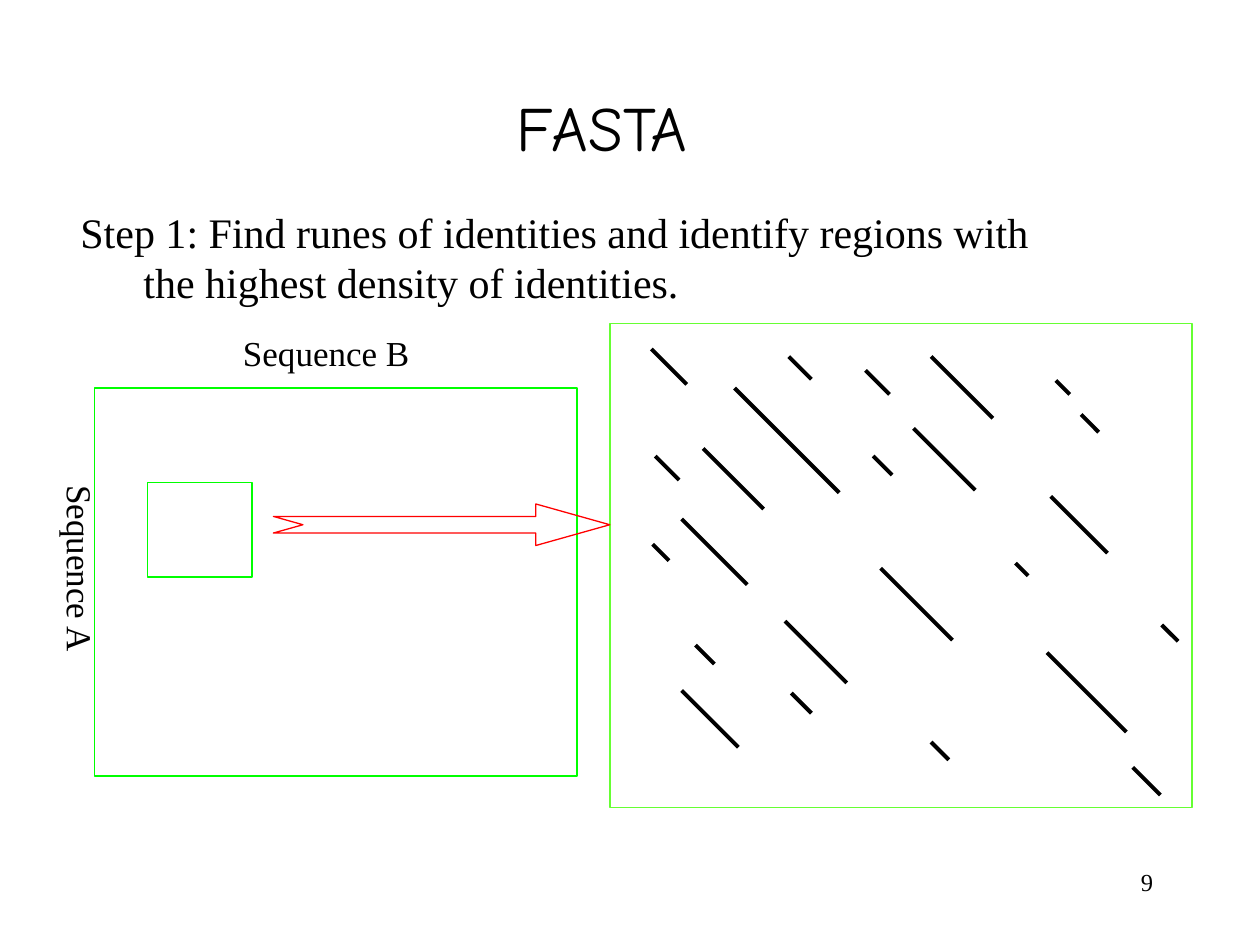
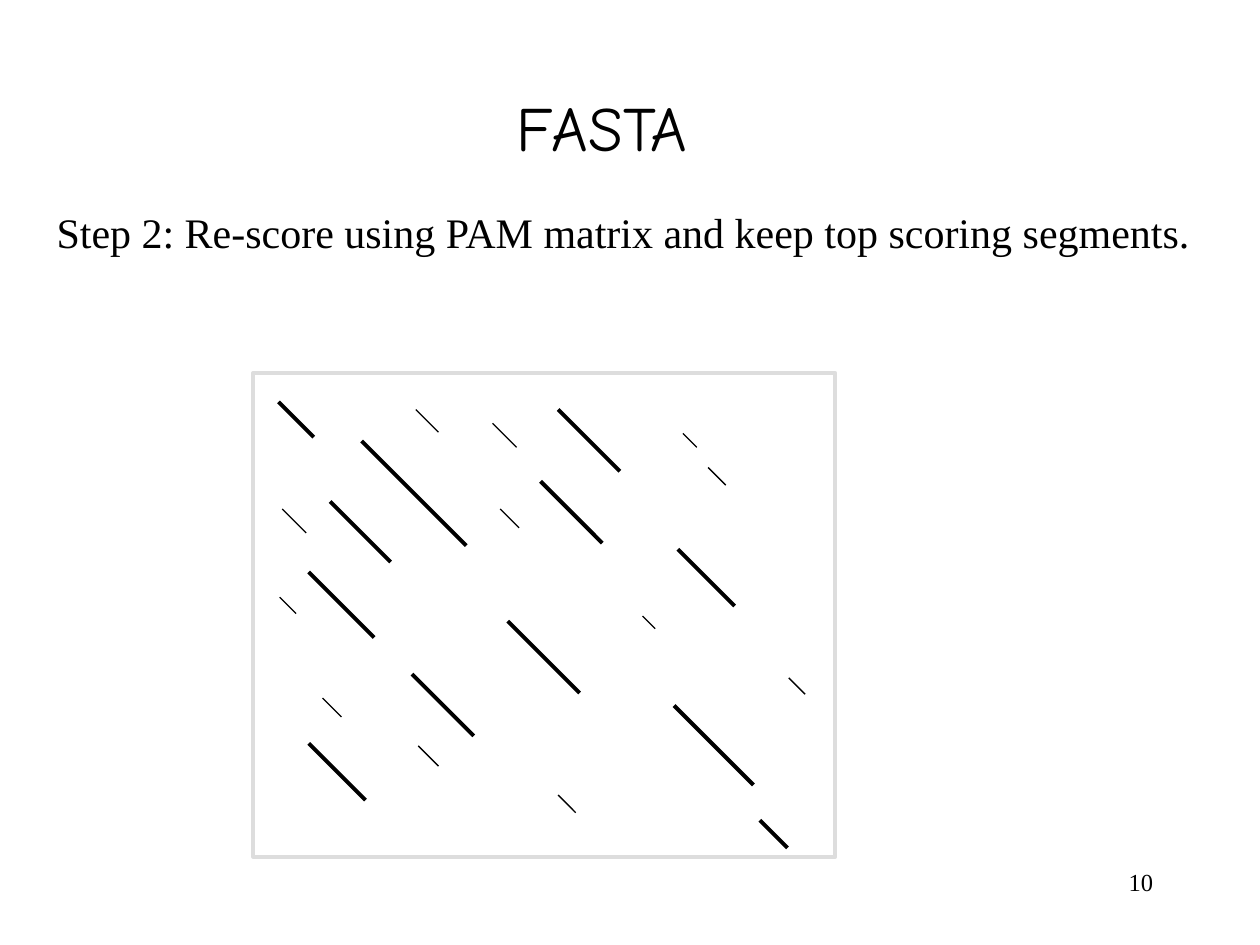
from pptx import Presentation
from pptx.dml.color import RGBColor as Rgb
from pptx.enum.shapes import MSO_CONNECTOR as Link, MSO_SHAPE as Shape
from pptx.enum.text import PP_ALIGN as Align
from pptx.oxml.ns import qn
from pptx.util import Inches, Pt
from lxml.etree import SubElement

WIDTH, HEIGHT = Inches(10), Inches(7.5)
COLS, ROWS = 10, 7.5
COLORS = {"ink": "000000", "green": "00FF00", "lime": "66FF33",
          "grey": "DDDDDD", "red": "FF0000"}
SERIF, TITLE = "Times New Roman", "Comic Neue"
THIN, THICK = 0.75, 2.25
PLOT = (4.62, 3.84)

# Diagonal runs as (column, row, extent), counted from the plot's origin
STRONG = [
    (0.99, 0.51, 0.83), (0.33, 0.2, 0.28), (2.15, 1.94, 0.57),
    (3.47, 2.61, 0.63), (4.15, 3.52, 0.22), (0.57, 1.55, 0.52),
    (1.39, 2.36, 0.49), (2.41, 0.83, 0.49), (3.5, 1.37, 0.45),
    (0.74, 0.99, 0.48), (0.57, 2.91, 0.45), (2.55, 0.26, 0.49),
]
WEAK = [
    (2.55, 3.32, 0.14), (0.68, 2.55, 0.15), (3.74, 0.72, 0.14),
    (0.36, 1.05, 0.19), (3.22, 1.9, 0.1), (2.03, 0.37, 0.19),
    (4.38, 2.39, 0.13), (1.44, 2.93, 0.16), (0.34, 1.75, 0.13),
    (1.42, 0.26, 0.18), (3.54, 0.45, 0.11), (2.09, 1.05, 0.15),
]


def place(x, y, *size):
    """Turn grid columns and rows into slide lengths."""
    return [round(n * (HEIGHT / ROWS if i % 2 else WIDTH / COLS))
            for i, n in enumerate((x, y, *size))]


def tint(line, color, weight):
    line.color.rgb = Rgb.from_string(COLORS[color])
    line.width = Pt(weight)


def write(slide, text, spot, size, font=SERIF, before=0, align=Align.LEFT):
    box = slide.shapes.add_textbox(*place(*spot))
    frame = box.text_frame
    frame.word_wrap = True
    para = frame.paragraphs[0]
    para.text = text
    para.alignment = align
    para.space_before = Pt(before)
    para.font.size = Pt(size)
    para.font.name = font
    para.font.color.rgb = Rgb.from_string(COLORS["ink"])
    return box


def label(slide, text, spot):
    return write(slide, text, spot, 20, before=12.5)


def step(slide, text, spot):
    """Write the step's sentence with a hanging indent."""
    box = write(slide, text, spot, 24, before=15)
    props = box.text_frame.paragraphs[0]._p.get_or_add_pPr()
    props.set("marL", str(Inches(0.5)))
    props.set("indent", str(-Inches(0.5)))


def outline(slide, spot, color, weight=THIN, kind=Shape.RECTANGLE):
    shape = slide.shapes.add_shape(kind, *place(*spot))
    shape.shadow.inherit = False
    shape.fill.background()
    tint(shape.line, color, weight)
    return shape


def runs(slide, origin, marks, weight):
    """Draw each run as a 45-degree line."""
    for col, row, span in marks:
        x, y = origin[0] + col, origin[1] + row
        line = slide.shapes.add_connector(
            Link.STRAIGHT, *place(x, y, x + span, y + span))
        SubElement(line.element.spPr, qn("a:effectLst"))
        tint(line.line, "ink", weight)


def start(deck, number):
    """Add a slide with the shared page number and title."""
    slide = deck.slides.add_slide(deck.slide_layouts[6])
    write(slide, str(number), (7.17, 6.83, 2.08, 0.5), 14, align=Align.RIGHT)
    write(slide, "FASTA", (4, 0.65, 2.49, 0.7), 36, TITLE, 22.5)
    return slide


def find(deck):
    slide = start(deck, 9)
    step(slide, "Step 1: Find runes of identities and identify regions with "
                "the highest density of identities.", (0.54, 1.59, 7.8, 0.9))
    origin = (4.84, 2.57)
    outline(slide, origin + PLOT, "lime")
    runs(slide, origin, STRONG + WEAK, THICK)
    outline(slide, (0.75, 3.08, 3.83, 3.08), "green")
    side = label(slide, "Sequence A", (0.33, 3.75, 0.53, 1.83))
    frame = side.text_frame
    frame.margin_left = frame.margin_right = Inches(0.05)
    frame.margin_top = frame.margin_bottom = Inches(0.1)
    side.element.txBody.bodyPr.set("vert", "eaVert")
    label(slide, "Sequence B", (1.83, 2.58, 2.25, 0.44))
    outline(slide, (1.17, 3.83, 0.83, 0.75), "green")
    arrow = outline(slide, (2.17, 4, 2.67, 0.33), "red",
                    kind=Shape.NOTCHED_RIGHT_ARROW)
    arrow.adjustments[0] = 0.4
    arrow.adjustments[1] = 1.78


def score(deck):
    slide = start(deck, 10)
    step(slide, "Step 2: Re-score using PAM matrix and keep top scoring "
                "segments.", (0.35, 1.59, 9.29, 0.5))
    outline(slide, (2.01, 2.96) + PLOT, "grey", THICK)
    origin = (1.88, 2.99)
    runs(slide, origin, STRONG, THICK)
    runs(slide, origin, WEAK, THIN)


def main():
    deck = Presentation()
    deck.slide_width, deck.slide_height = WIDTH, HEIGHT
    find(deck)
    score(deck)
    deck.save("out.pptx")


if __name__ == "__main__":
    main()
